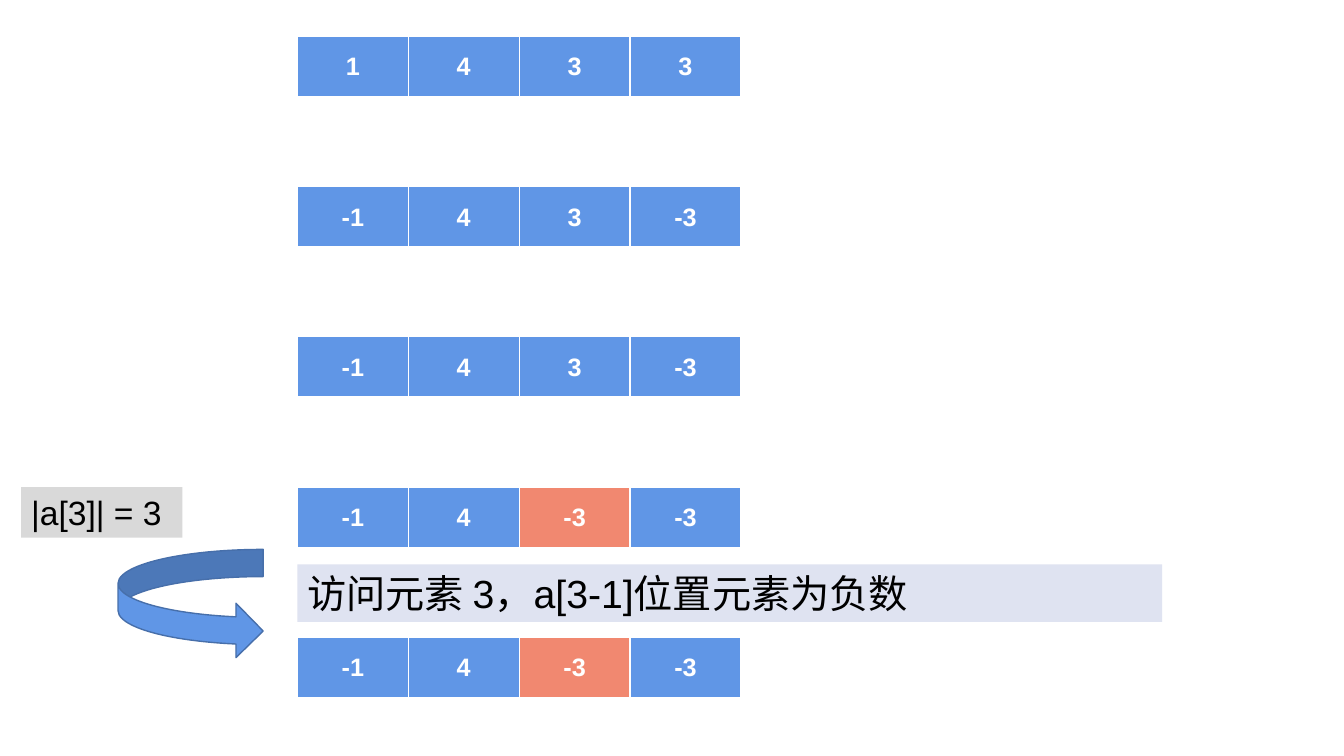
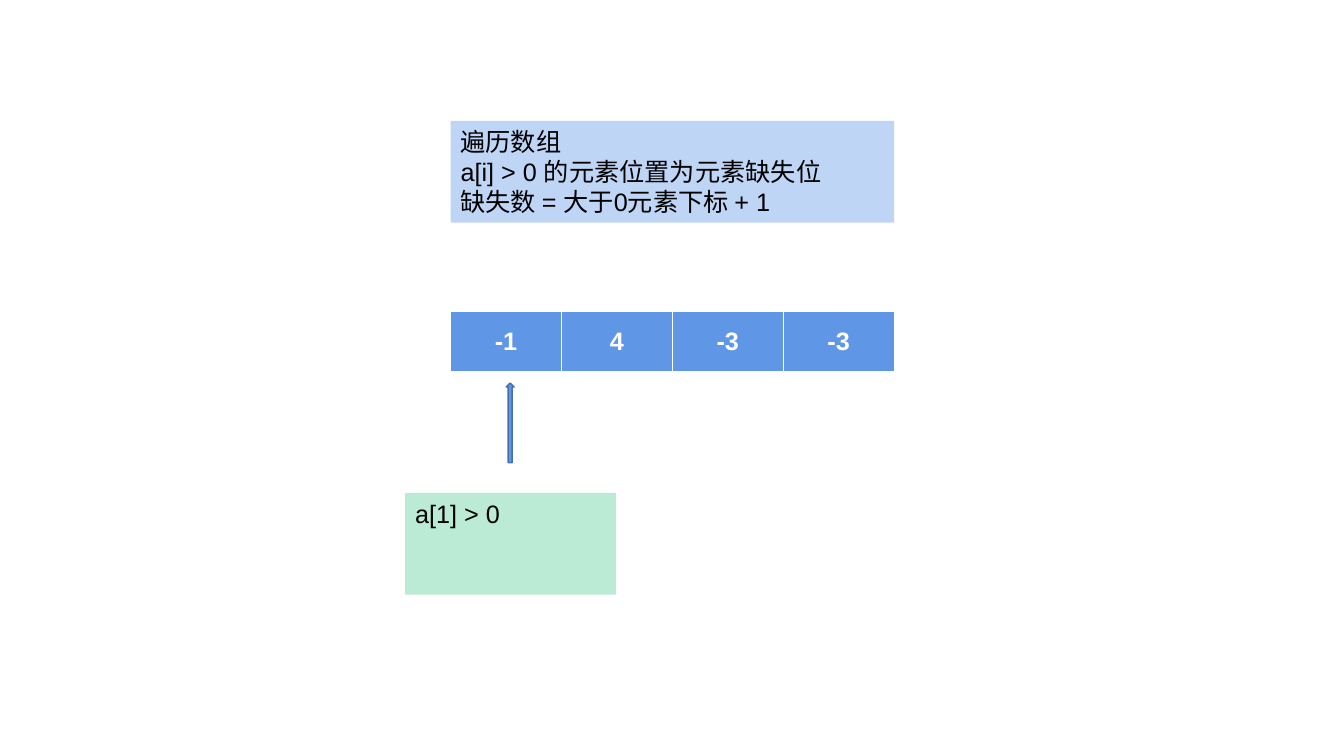
from lxml import etree
from pptx import Presentation, util as u
from pptx.dml.color import RGBColor
from pptx.enum import shapes, text
from pptx.oxml import ns

HUES = {
    "cell": "6096E6", "mark": "F18870", "edge": "476FAA",
    "white": "FFFFFF", "black": "000000", "band": "DFE3F1",
    "gray": "D9D9D9", "note": "BFD5F5", "green": "BBEAD5",
}
BODY = {"name": "Arial", "bold": False}
HEAD = {"name": "Arial", "bold": True, "size": u.Pt(18)}
EDGES = {"lnL": 1, "lnR": 1, "lnT": 1, "lnB": 3}
ROW_W, ROW_H = 33, 8.13
STEP = 19.88


def hue(name):
    return RGBColor.from_string(HUES[name])


def part(box, share):
    left, top, width, height = box
    x, y, w, h = (s / 100 for s in share)
    return [round(v) for v in (left + x * width, top + y * height, w * width, h * height)]


def style(font, tone, form):
    for key, value in form.items():
        setattr(font, key, value)
    font.color.rgb = hue(tone)


def paint(shape, fill):
    shape.shadow.inherit = False
    shape.fill.solid()
    shape.fill.fore_color.rgb = hue(fill)


def rule(cell):
    props = cell._tc.get_or_add_tcPr()
    for spot, (tag, width) in enumerate(EDGES.items()):
        line = etree.Element(ns.qn("a:" + tag), w=str(u.Pt(width)))
        fill = etree.SubElement(line, ns.qn("a:solidFill"))
        etree.SubElement(fill, ns.qn("a:srgbClr"), val=HUES["white"])
        props.insert(spot, line)


def array(slide, box, values, marks=()):
    table = slide.shapes.add_table(1, len(values), *box).table
    table.horz_banding = False
    for i, value in enumerate(values):
        table.columns[i].width = box[2] // len(values)
        cell = table.cell(0, i)
        cell.fill.solid()
        cell.fill.fore_color.rgb = hue("mark" if i in marks else "cell")
        cell.vertical_anchor = text.MSO_ANCHOR.MIDDLE
        rule(cell)
        para = cell.text_frame.paragraphs[0]
        para.text = str(value)
        para.alignment = text.PP_ALIGN.CENTER
        style(para.runs[0].font, "white", HEAD)


def panel(slide, box, lines, fill, size):
    shape = slide.shapes.add_shape(shapes.MSO_SHAPE.RECTANGLE, *box)
    paint(shape, fill)
    shape.line.fill.background()
    frame = shape.text_frame
    frame.word_wrap = True
    frame.vertical_anchor = text.MSO_ANCHOR.TOP
    frame.text = "\n".join(lines)
    for para in frame.paragraphs:
        para.alignment = text.PP_ALIGN.LEFT
        style(para.runs[0].font, "black", BODY | {"size": u.Pt(size)})


def arrow(slide, box, kind):
    shape = slide.shapes.add_shape(kind, *box)
    paint(shape, "cell")
    shape.line.color.rgb = hue("edge")
    shape.line.width = u.Pt(1)


def steps(slide, box):
    left, top = 22.13, 4.8
    rows = [
        ((1, 4, 3, 3), ()),
        ((-1, 4, 3, -3), ()),
        ((-1, 4, 3, -3), ()),
        ((-1, 4, -3, -3), (2,)),
        ((-1, 4, -3, -3), (2,)),
    ]
    for i, (values, marks) in enumerate(rows):
        array(slide, part(box, (left, top + i * STEP, ROW_W, ROW_H)), values, marks)
    arrow(slide, part(box, (8.78, 72.67, 10.8, 14.4)), shapes.MSO_SHAPE.CURVED_RIGHT_ARROW)
    panel(slide, part(box, (left, 74.67, 64.35, 7.6)),
          ["访问元素 3，a[3-1]位置元素为负数"], "band", 28)
    panel(slide, part(box, (1.58, top + 3 * STEP, 12, 6.67)), ["|a[3]| = 3"], "gray", 24)


def search(slide, box):
    left, tall = 33.53, 13.47
    array(slide, part(box, (left, 41.2, ROW_W, ROW_H)), (-1, 4, -3, -3))
    panel(slide, part(box, (left, 16, ROW_W, tall)),
          ["遍历数组", "a[i] > 0 的元素位置为元素缺失位", "缺失数 = 大于0元素下标 + 1"],
          "note", 18)
    panel(slide, part(box, (30.15, 65.2, 15.68, tall)), ["a[1] > 0"], "green", 18)
    arrow(slide, part(box, (37.66, 50.67, 0.6, 10.53)), shapes.MSO_SHAPE.UP_ARROW)


def main():
    deck = Presentation()
    deck.slide_width, deck.slide_height = u.Inches(13.33), u.Inches(7.5)
    page = (0, 0, deck.slide_width, deck.slide_height)
    for build in (steps, search):
        build(deck.slides.add_slide(deck.slide_layouts[6]), page)
    deck.save("out.pptx")


if __name__ == "__main__":
    main()
